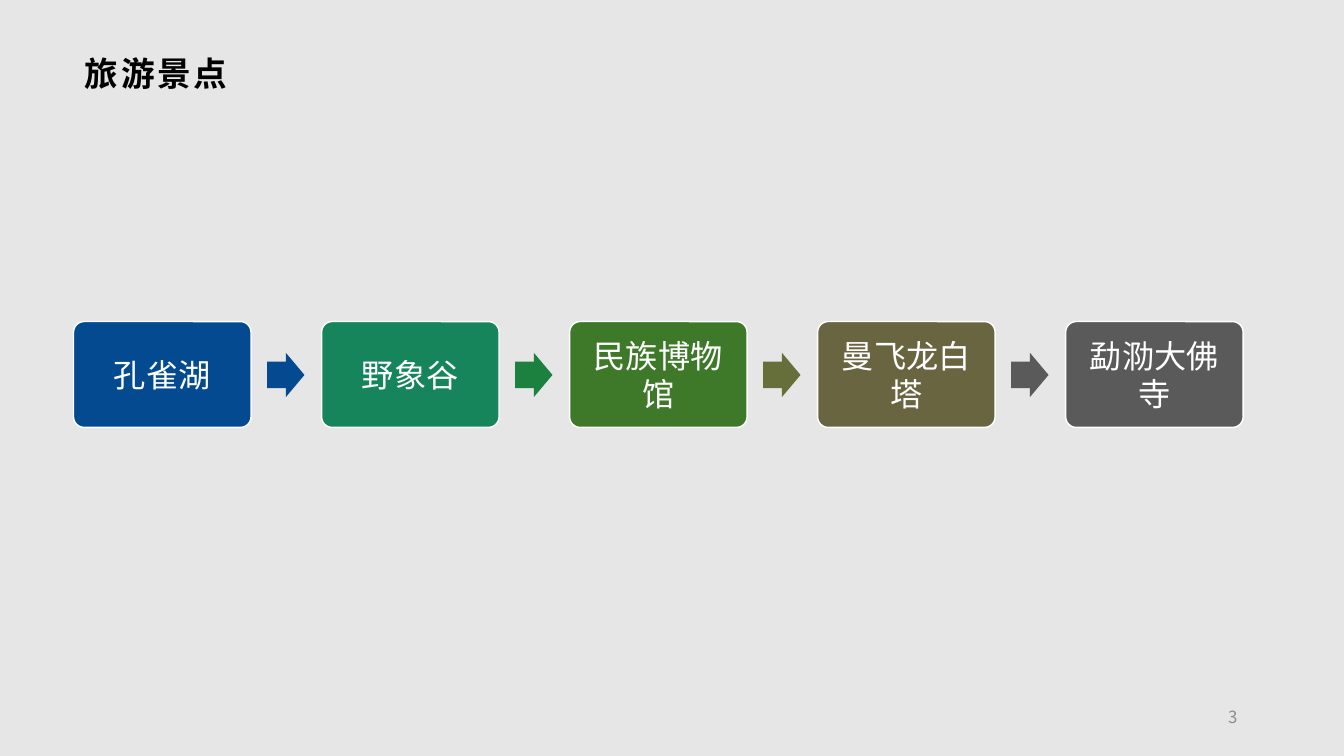
from dataclasses import dataclass

from lxml import etree
from pptx import Presentation
from pptx import util as u
from pptx.dml.color import RGBColor
from pptx.enum import shapes, text
from pptx.oxml.ns import qn


@dataclass
class Theme:
    back: str = "E7E6E6"
    white: str = "FFFFFF"
    black: str = "000000"
    gray: str = "8C8C8C"
    head: int = 24
    body: int = 23
    small: int = 12
    cjk: str = "Noto Sans CJK SC"
    latin: str = "Arial"


class Deck:
    """Draws titles, steps, arrows and page numbers on one slide."""

    def __init__(self, theme):
        self.theme = theme
        self.prs = Presentation()
        self.prs.slide_width = u.Inches(13.33)
        self.prs.slide_height = u.Inches(7.5)
        self.slide = self.prs.slides.add_slide(self.prs.slide_layouts[6])
        self.paint(self.slide.background.fill, theme.back)

    def paint(self, fill, color):
        fill.solid()
        fill.fore_color.rgb = RGBColor.from_string(color)

    def letter(self, shape, words, size, font, color, align, insets, bold=False, gap=0):
        frame = shape.text_frame
        frame.text = words
        frame.word_wrap = True
        frame.vertical_anchor = text.MSO_ANCHOR.MIDDLE
        (frame.margin_left, frame.margin_top,
         frame.margin_right, frame.margin_bottom) = map(u.Inches, insets)
        line = frame.paragraphs[0]
        line.alignment = align
        for run in line.runs:
            run.font.size = u.Pt(size)
            run.font.bold = bold
            run.font.name = font
            run.font.color.rgb = RGBColor.from_string(color)
            props = run._r.get_or_add_rPr()
            etree.SubElement(props, qn("a:ea")).set("typeface", font)
            if gap:
                props.set("spc", str(gap * 100))

    def label(self, box, *style, **more):
        self.letter(self.slide.shapes.add_textbox(*map(u.Inches, box)), *style, **more)

    def shape(self, kind, box, color, *adjust):
        item = self.slide.shapes.add_shape(kind, *map(u.Inches, box))
        item.shadow.inherit = False
        self.paint(item.fill, color)
        item.line.fill.background()
        for index, value in enumerate(adjust):
            item.adjustments[index] = value
        return item

    def title(self, words):
        look = self.theme
        self.label((0.73, 0.48, 11.87, 0.48), words, look.head, look.cjk, look.black,
                   text.PP_ALIGN.LEFT, (0.11, 0.04, 0.08, 0.04), bold=True, gap=2)

    def step(self, left, words, color):
        look = self.theme
        box = self.shape(shapes.MSO_SHAPE.ROUNDED_RECTANGLE,
                         (left, 3.19, 1.76, 1.05), color, 0.1)
        self.paint(box.line.fill, look.white)
        box.line.width = u.Pt(1)
        self.letter(box, words, look.body, look.latin, look.white,
                    text.PP_ALIGN.CENTER, (0.1,) * 4)

    def arrow(self, left, color):
        self.shape(shapes.MSO_SHAPE.RIGHT_ARROW, (left, 3.5, 0.37, 0.44), color, 0.6, 0.5)

    def page(self, number):
        look = self.theme
        self.label((9.42, 6.94, 2.95, 0.35), number, look.small, look.cjk, look.gray,
                   text.PP_ALIGN.RIGHT, (0.1, 0.05, 0.1, 0.05))


def main():
    sights = [
        ("孔雀湖", "034A90", "034A90"),
        ("野象谷", "16855B", "1C813E"),
        ("民族博物馆", "3E792A", "666F39"),
        ("曼飞龙白塔", "6A6541", "5A5A5A"),
        ("勐泐大佛寺", "5A5A5A", None),
    ]
    deck = Deck(Theme())
    deck.title("旅游景点")
    for index, (name, color, next_color) in enumerate(sights):
        left = 0.73 + index * 2.46
        deck.step(left, name, color)
        if next_color:
            deck.arrow(left + 1.92, next_color)
    deck.page("3")
    deck.prs.save("out.pptx")


if __name__ == "__main__":
    main()
